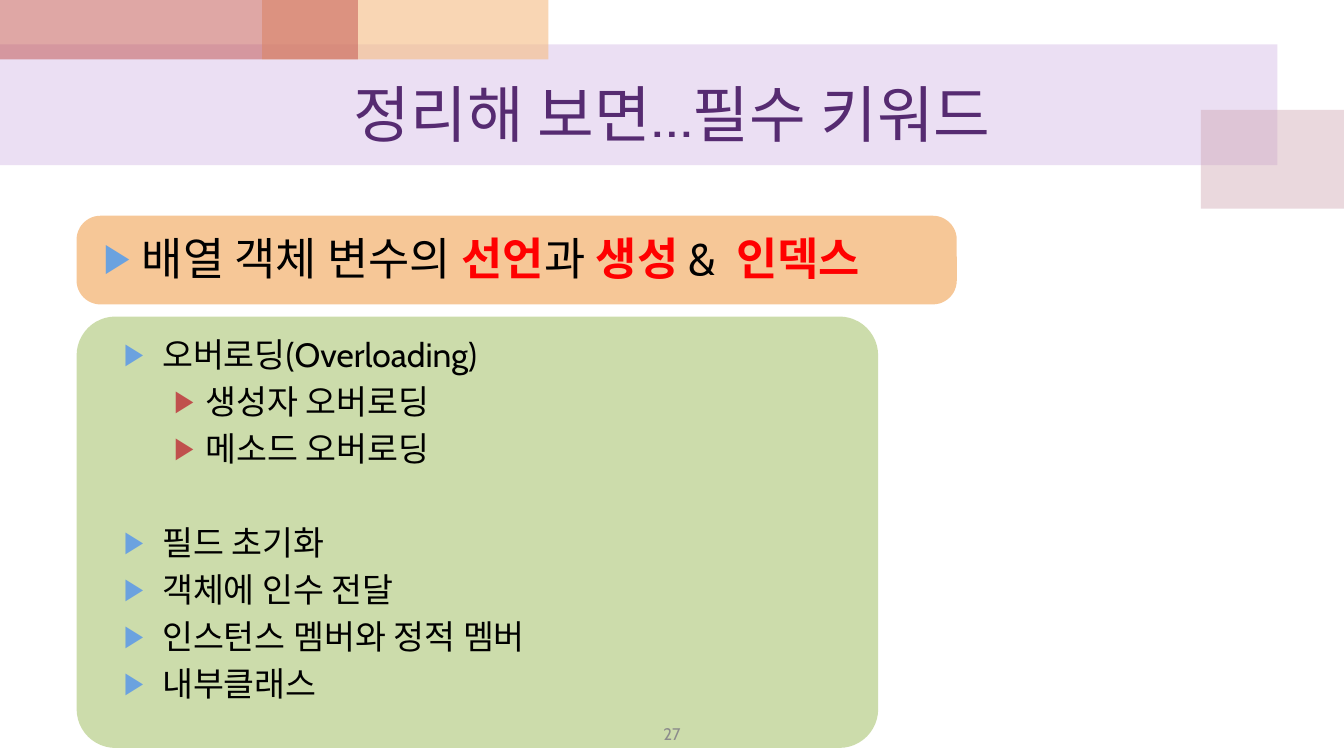
from lxml import etree
from pptx import Presentation
from pptx.dml.color import RGBColor
from pptx.enum import lang, shapes, text
from pptx.oxml import ns
from pptx.util import Inches, Pt


def style_run(run, size, color, bold=False):
    """Format a run, with the same typeface for Latin and Korean letters."""
    font = run.font
    font.size, font.bold, font.name = Pt(size), bold, "Cabin"
    font.language_id = lang.MSO_LANGUAGE_ID.KOREAN
    font.color.rgb = RGBColor.from_string(color)
    etree.SubElement(run._r.get_or_add_rPr(), ns.qn("a:ea"), typeface="Cabin")


def add_bullet(paragraph, margin, hanging, color):
    props = paragraph._p.get_or_add_pPr()
    props.set("marL", str(Inches(margin)))
    props.set("indent", str(-Inches(hanging)))
    bullet_color = etree.SubElement(props, ns.qn("a:buClr"))
    etree.SubElement(bullet_color, ns.qn("a:srgbClr"), val=color)
    etree.SubElement(props, ns.qn("a:buSzPct"), val="90000")
    etree.SubElement(props, ns.qn("a:buFont"), typeface="Arial")
    etree.SubElement(props, ns.qn("a:buChar"), char="▶")


prs = Presentation()
prs.slide_width, prs.slide_height = Inches(13.33), Inches(7.5)
slide = prs.slides.add_slide(prs.slide_layouts[5])

# Translucent bands and panels: left, top, width, height, colour, opacity %, corner
panels = [
    (0, 0.44, 12.67, 1.2, "BF98D8", 30, None),
    (11.91, 1.09, 1.43, 0.98, "CC9EAC", 40, None),
    (2.6, 0, 2.84, 0.59, "F5BC83", 60, None),
    (0, 0, 3.55, 0.59, "C0504D", 50, None),
    (0.76, 2.14, 8.73, 0.88, "EF9031", 50, 0.27),
    (0.76, 3.14, 7.95, 4.28, "9BBB59", 50, 0.09),
]
for left, top, width, height, color, opacity, corner in panels:
    kind = shapes.MSO_SHAPE.ROUNDED_RECTANGLE if corner else shapes.MSO_SHAPE.RECTANGLE
    panel = slide.shapes.add_shape(
        kind, Inches(left), Inches(top), Inches(width), Inches(height))
    if corner:
        panel.adjustments[0] = corner
    panel.shadow.inherit = False
    panel.line.fill.background()
    panel.fill.solid()
    panel.fill.fore_color.rgb = RGBColor.from_string(color)
    tint = panel.element.spPr.find(".//" + ns.qn("a:srgbClr"))
    etree.SubElement(tint, ns.qn("a:alpha"), val=str(opacity * 1000))

# Title, brought in front of the bands
title = slide.shapes.title
title.left, title.top = Inches(0.67), Inches(0.59)
title.width, title.height = Inches(12), Inches(1.05)
title.text_frame.text = "정리해 보면…필수 키워드"
title.text_frame.vertical_anchor = text.MSO_ANCHOR.MIDDLE
title_line = title.text_frame.paragraphs[0]
title_line.alignment = text.PP_ALIGN.CENTER
style_run(title_line.runs[0], 44, "562B71")
title.element.getparent().append(title.element)

# Headline with the key terms in bold red
headline = slide.shapes.add_textbox(Inches(0.93), Inches(2.24), Inches(8.57), Inches(0.9))
headline.text_frame.word_wrap = True
headline_line = headline.text_frame.paragraphs[0]
add_bullet(headline_line, 0.38, 0.38, "6BA2DF")
phrases = [("배열 객체 변수의 ", False), ("선언", True), ("과 ", False),
           ("생성 ", True), ("&  ", False), ("인덱스", True)]
for phrase, is_key in phrases:
    run = headline_line.add_run()
    run.text = phrase
    style_run(run, 32, "FF0000" if is_key else "000000", is_key)

# Page number
page_number = slide.shapes.add_textbox(Inches(5.11), Inches(7.15), Inches(3.11), Inches(0.27))
page_number.text_frame.vertical_anchor = text.MSO_ANCHOR.MIDDLE
page_number.text_frame.word_wrap = True
page_number.text_frame.text = "27"
page_line = page_number.text_frame.paragraphs[0]
page_line.alignment = text.PP_ALIGN.CENTER
style_run(page_line.runs[0], 12, "8C8C8C")

# Keyword list: text, level, space before in points
keywords = [
    ("오버로딩(Overloading)", 0, 0),
    ("생성자 오버로딩", 1, 4.8),
    ("메소드 오버로딩", 1, 4.8),
    ("필드 초기화", 0, 38.4),
    ("객체에 인수 전달", 0, 4.8),
    ("인스턴스 멤버와 정적 멤버", 0, 4.8),
    ("내부클래스", 0, 4.8),
]
bullet_levels = [(0.38, 0.38, "6BA2DF"), (0.81, 0.31, "C0504D")]
keyword_list = slide.shapes.add_textbox(Inches(1.13), Inches(3.26), Inches(8.37), Inches(4.16))
keyword_list.text_frame.word_wrap = True
keyword_list.text_frame.text = "\n".join(keyword for keyword, _, _ in keywords)
for line, (_, level, gap) in zip(keyword_list.text_frame.paragraphs, keywords):
    line.level = level
    line.space_before = Pt(gap)
    add_bullet(line, *bullet_levels[level])
    style_run(line.runs[0], 24, "000000")

prs.save("out.pptx")
